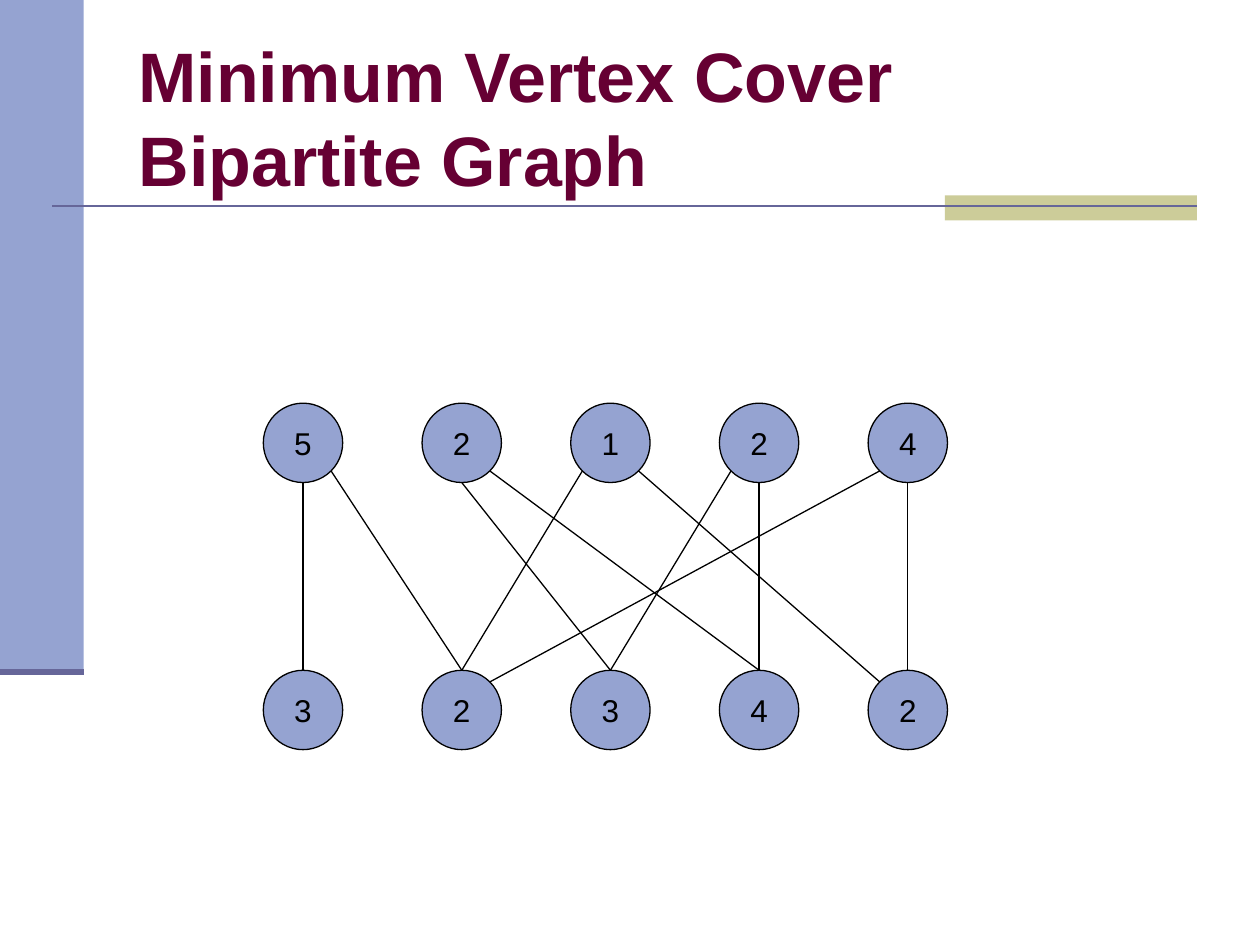
import math

import pptx
import pptx.dml.color
import pptx.enum.shapes
import pptx.enum.text
import pptx.oxml
import pptx.util

SHAPE = pptx.enum.shapes.MSO_SHAPE
ANCHOR = pptx.enum.text.MSO_ANCHOR
ALIGN = pptx.enum.text.PP_ALIGN

COLUMNS, ROWS = 20, 15
BLUE, VIOLET, OLIVE, WINE, BLACK = "95A3D1", "666699", "CCCC99", "660033", "000000"

RADIUS = 0.63
NODE_COLUMNS = [4.81] + [7.33 + 2.36 * i for i in range(4)]
TOP_ROW, BOTTOM_ROW = 7.03, 11.27
TOP_WEIGHTS = "52124"
BOTTOM_WEIGHTS = "32342"

# Angles on a node, clockwise from its right-hand side
TOP, TOP_LEFT, BOTTOM, BOTTOM_LEFT, BOTTOM_RIGHT = -90, -135, 90, 135, 45
# (top node, its angle, bottom node, its angle)
EDGES = [
    (0, BOTTOM_RIGHT, 1, TOP),
    (0, BOTTOM, 0, TOP),
    (1, BOTTOM_RIGHT, 3, TOP),
    (1, BOTTOM, 2, TOP),
    (4, BOTTOM_LEFT, 1, -45),
    (4, BOTTOM, 4, TOP),
    (2, BOTTOM_RIGHT, 4, TOP_LEFT),
    (3, BOTTOM_LEFT, 2, TOP),
    (3, BOTTOM, 3, TOP),
    (2, BOTTOM_LEFT, 1, TOP),
]


def rgb(color):
    return pptx.dml.color.RGBColor.from_string(color)


def rim(column, row, angle):
    """Point on a node's outline, in grid units."""
    a = math.radians(angle)
    return column + RADIUS * math.cos(a), row + RADIUS * math.sin(a)


class Canvas:
    """Current slide, its grid and its text style."""

    def __init__(self, prs, font="Arial"):
        self.slide = prs.slides.add_slide(prs.slide_layouts[5])
        self.font = font
        self.cell_w = prs.slide_width / COLUMNS
        self.cell_h = prs.slide_height / ROWS

    def place(self, column, row):
        return round(column * self.cell_w), round(row * self.cell_h)

    def format_text(self, tf, size, color, align, bold=False):
        tf.vertical_anchor = ANCHOR.MIDDLE
        for p in tf.paragraphs:
            p.alignment = align
            for r in p.runs:
                r.font.name, r.font.size = self.font, pptx.util.Pt(size)
                r.font.bold = bold
                r.font.color.rgb = rgb(color)

    def title(self, text, column, row, width, height):
        sp = self.slide.shapes.title
        sp.left, sp.top = self.place(column, row)
        sp.width, sp.height = self.place(width, height)
        tf = sp.text_frame
        tf.text = text
        tf.word_wrap = True
        tf.auto_size = pptx.enum.text.MSO_AUTO_SIZE.NONE
        self.format_text(tf, 40, WINE, ALIGN.LEFT, bold=True)

    def shape(self, kind, column, row, width, height, fill):
        sp = self.slide.shapes.add_shape(
            kind, *self.place(column, row), *self.place(width, height))
        sp.shadow.inherit = False
        sp.fill.solid()
        sp.fill.fore_color.rgb = rgb(fill)
        sp.line.fill.background()
        return sp

    def node(self, column, row, text):
        sp = self.shape(SHAPE.OVAL, column - RADIUS, row - RADIUS,
                        2 * RADIUS, 2 * RADIUS, BLUE)
        sp.line.color.rgb = rgb(BLACK)
        sp.line.width = pptx.util.Pt(0.75)
        tf = sp.text_frame
        tf.text = text
        tf.word_wrap = False
        self.format_text(tf, 18, BLACK, ALIGN.CENTER)

    def line(self, start, end, color=BLACK, width=0.75):
        c = self.slide.shapes.add_connector(
            pptx.enum.shapes.MSO_CONNECTOR.STRAIGHT,
            *self.place(*start), *self.place(*end))
        c.line.color.rgb = rgb(color)
        c.line.width = pptx.util.Pt(width)
        sp_pr = c._element.spPr
        sp_pr.append(sp_pr.makeelement(pptx.oxml.ns.qn("a:effectLst"), {}))


def main():
    prs = pptx.Presentation()
    prs.slide_width = pptx.util.Inches(10)
    prs.slide_height = pptx.util.Inches(7.5)
    s = Canvas(prs)

    s.shape(SHAPE.RECTANGLE, 0, 0, 1.33, 10.67, BLUE)
    s.shape(SHAPE.RECTANGLE, 15, 3.1, 4, 0.4, OLIVE)
    s.line((0.83, 3.27), (19, 3.27), VIOLET, 1.5)
    s.line((0, 10.67), (1.33, 10.67), VIOLET, 3.5)
    s.title("Minimum Vertex Cover Bipartite Graph", 2, 0.6, 17, 2.5)

    for row, weights in ((TOP_ROW, TOP_WEIGHTS), (BOTTOM_ROW, BOTTOM_WEIGHTS)):
        for column, weight in zip(NODE_COLUMNS, weights):
            s.node(column, row, weight)
    for upper, upper_angle, lower, lower_angle in EDGES:
        s.line(rim(NODE_COLUMNS[upper], TOP_ROW, upper_angle),
               rim(NODE_COLUMNS[lower], BOTTOM_ROW, lower_angle))

    prs.save("out.pptx")


if __name__ == "__main__":
    main()
